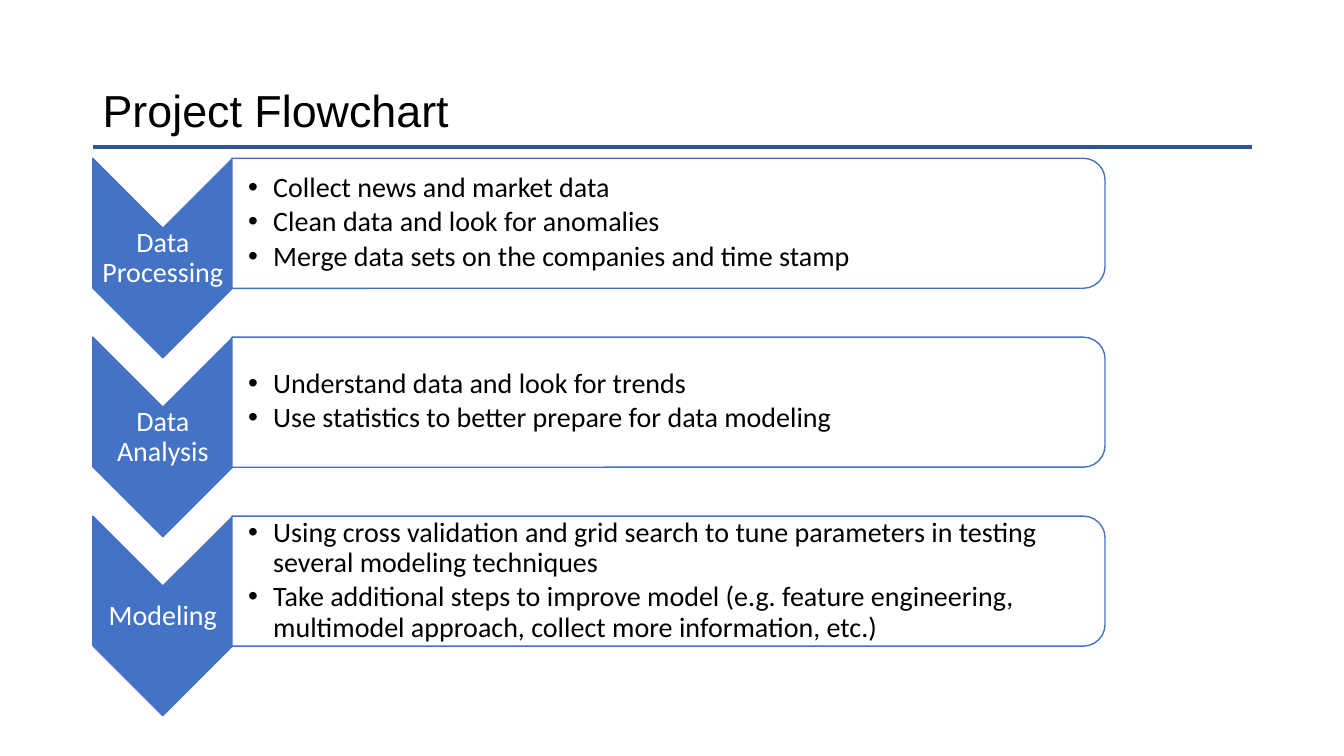
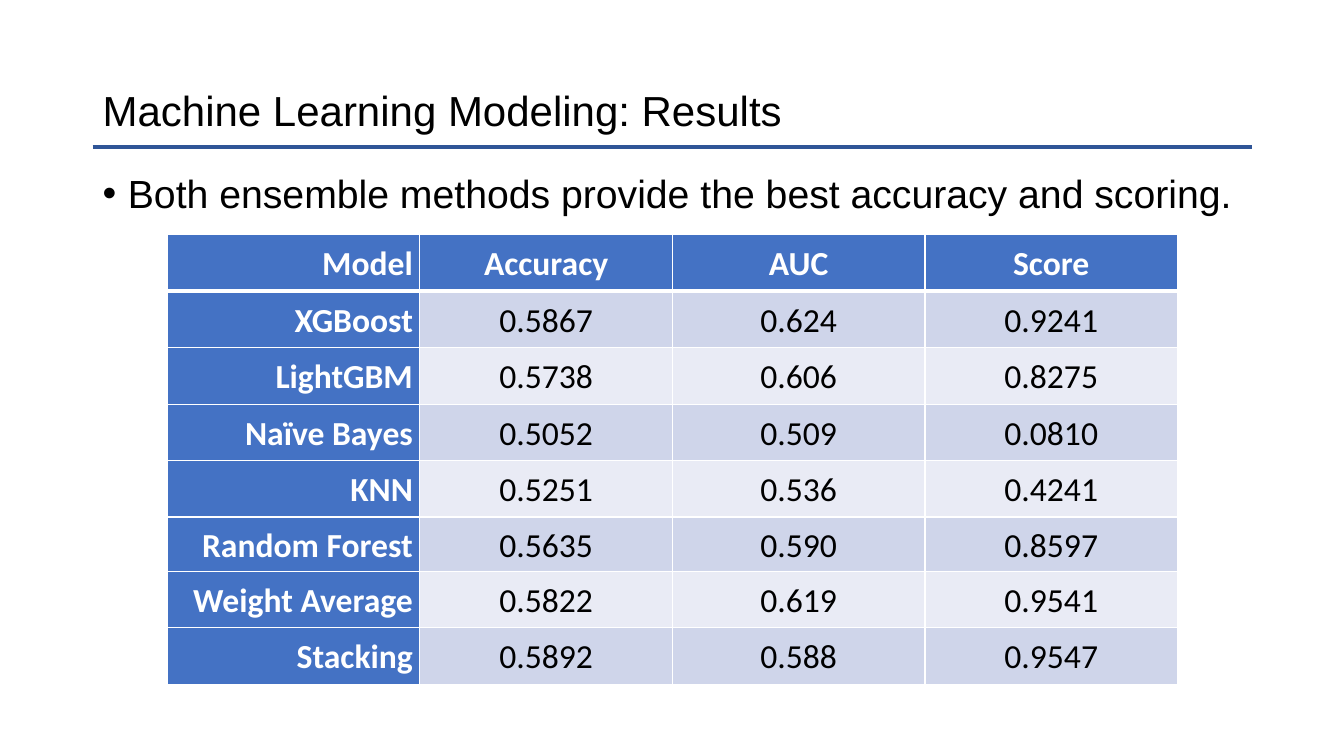
from dataclasses import dataclass

from lxml import etree
from pptx import Presentation
from pptx.dml.color import RGBColor
from pptx.enum.shapes import MSO_CONNECTOR, MSO_SHAPE
from pptx.enum.text import MSO_ANCHOR, PP_ALIGN
from pptx.oxml.ns import qn
from pptx.slide import Slide
from pptx.util import Inches, Pt

LEFT, CENTER, RIGHT = PP_ALIGN.LEFT, PP_ALIGN.CENTER, PP_ALIGN.RIGHT
TOP, MIDDLE = MSO_ANCHOR.TOP, MSO_ANCHOR.MIDDLE
CHEVRON, PANEL = MSO_SHAPE.CHEVRON, MSO_SHAPE.ROUND_2_SAME_RECTANGLE
STRAIGHT = MSO_CONNECTOR.STRAIGHT

COLORS = {
    "text": "000000",
    "white": "FFFFFF",
    "rule": "2F5597",
    "accent": "4472C4",
    "band_dark": "CFD5EA",
    "band_light": "E9EBF5",
}
HEADING_FONT, BODY_FONT = "Arial", "Calibri"
MARGIN = 0.92
CONTENT_WIDTH = 11.5
BULLET_INDENT = 0.25
STEP_TOP, STEP_PITCH = 1.57, 1.775


@dataclass(frozen=True)
class Frame:
    left: float
    top: float
    width: float
    height: float

    def lengths(self) -> list[int]:
        return [Inches(n) for n in (self.left, self.top, self.width, self.height)]

    def quarter_turned(self) -> "Frame":
        """Frame that covers this one once it is rotated by 90 degrees."""
        shift = (self.width - self.height) / 2
        return Frame(self.left + shift, self.top - shift, self.height, self.width)


@dataclass(frozen=True)
class TextStyle:
    size: float
    font: str = BODY_FONT
    color: str = "text"
    bold: bool = False
    align: PP_ALIGN = LEFT
    line_spacing: float = 0.9
    before: float = 0
    after: float = 0
    bullet: bool = False


@dataclass(frozen=True)
class Step:
    label: str
    points: list[str]


LABEL_STYLE = TextStyle(20, color="white", align=CENTER, after=7)
POINT_STYLE = TextStyle(20, after=3, bullet=True)
BODY_STYLE = TextStyle(28, HEADING_FONT, before=10, bullet=True)
HEADER_STYLE = TextStyle(24, color="white", bold=True, align=CENTER, line_spacing=1.07)
NAME_STYLE = TextStyle(24, color="white", bold=True, align=RIGHT, line_spacing=1.07)
VALUE_STYLE = TextStyle(24, align=CENTER, line_spacing=1.07)

STEPS = [
    Step("Data Processing", [
        "Collect news and market data",
        "Clean data and look for anomalies",
        "Merge data sets on the companies and time stamp",
    ]),
    Step("Data Analysis", [
        "Understand data and look for trends",
        "Use statistics to better prepare for data modeling",
    ]),
    Step("Modeling", [
        "Using cross validation and grid search to tune parameters in testing "
        "several modeling techniques",
        "Take additional steps to improve model (e.g. feature engineering, "
        "multimodel approach, collect more information, etc.)",
    ]),
]

RESULTS = [
    ("Model", "Accuracy", "AUC", "Score"),
    ("XGBoost", "0.5867", "0.624", "0.9241"),
    ("LightGBM", "0.5738", "0.606", "0.8275"),
    ("Naïve Bayes", "0.5052", "0.509", "0.0810"),
    ("KNN", "0.5251", "0.536", "0.4241"),
    ("Random Forest", "0.5635", "0.590", "0.8597"),
    ("Weight Average", "0.5822", "0.619", "0.9541"),
    ("Stacking", "0.5892", "0.588", "0.9547"),
]
ROW_HEIGHTS = [0.56] * 5 + [0.54] + [0.56] * 2


def rgb(name: str) -> RGBColor:
    return RGBColor.from_string(COLORS[name])


def write_paragraph(paragraph, text: str, style: TextStyle) -> None:
    paragraph.text = text
    paragraph.alignment = style.align
    paragraph.line_spacing = style.line_spacing
    paragraph.space_before = Pt(style.before)
    paragraph.space_after = Pt(style.after)
    font = paragraph.font
    font.name, font.size, font.bold = style.font, Pt(style.size), style.bold
    font.color.rgb = rgb(style.color)
    if style.bullet:
        properties = paragraph._p.get_or_add_pPr()
        properties.set("marL", str(Inches(BULLET_INDENT)))
        properties.set("indent", str(-Inches(BULLET_INDENT)))
        bullet_font = etree.Element(qn("a:buFont"), typeface="Arial")
        bullet = etree.Element(qn("a:buChar"), char="•")
        spacing_end = properties.find(qn("a:spcAft"))
        spacing_end.addnext(bullet_font)
        bullet_font.addnext(bullet)


def add_text(page: Slide, frame: Frame, lines: list[str], style: TextStyle,
             anchor: MSO_ANCHOR = MIDDLE,
             insets: tuple[float, float, float, float] = (0.1, 0.05, 0.1, 0.05)) -> None:
    text_frame = page.shapes.add_textbox(*frame.lengths()).text_frame
    text_frame.word_wrap = True
    text_frame.vertical_anchor = anchor
    (text_frame.margin_left, text_frame.margin_top,
     text_frame.margin_right, text_frame.margin_bottom) = map(Inches, insets)
    for index, line in enumerate(lines):
        paragraph = text_frame.add_paragraph() if index else text_frame.paragraphs[0]
        write_paragraph(paragraph, line, style)


def add_turned_shape(page: Slide, kind: MSO_SHAPE, frame: Frame, fill: str) -> None:
    shape = page.shapes.add_shape(kind, *frame.quarter_turned().lengths())
    shape.rotation = 90
    shape.shadow.inherit = False
    shape.fill.solid()
    shape.fill.fore_color.rgb = rgb(fill)
    shape.line.color.rgb = rgb("accent")
    shape.line.width = Pt(1)


def add_page(deck, title: str, title_size: float) -> Slide:
    """Blank page with the shared title and the rule below it."""
    page = deck.slides.add_slide(deck.slide_layouts[6])
    add_text(page, Frame(MARGIN, 0.4, CONTENT_WIDTH, 1.45), [title],
             TextStyle(title_size, HEADING_FONT))
    rule_y = Inches(1.46)
    rule = page.shapes.add_connector(
        STRAIGHT, Inches(MARGIN), rule_y, Inches(MARGIN + CONTENT_WIDTH), rule_y)
    rule.line.color.rgb = rgb("rule")
    rule.line.width = Pt(3)
    etree.SubElement(rule._element.spPr, qn("a:effectLst"))
    return page


def add_step(page: Slide, step: Step, top: float) -> None:
    add_turned_shape(page, CHEVRON, Frame(MARGIN, top, 1.39, 1.98), "accent")
    add_text(page, Frame(MARGIN, top + 0.7, 1.39, 0.59), [step.label],
             LABEL_STYLE, insets=(0.01,) * 4)
    add_turned_shape(page, PANEL, Frame(2.3, top, 8.66, 1.29), "white")
    add_text(page, Frame(2.3, top + 0.06, 8.59, 1.16), step.points,
             POINT_STYLE, insets=(0.16, 0.01, 0.01, 0.01))


def set_borders(cell, bottom_width: float) -> None:
    properties = cell._tc.get_or_add_tcPr()
    widths = {"a:lnL": 1, "a:lnR": 1, "a:lnT": 1, "a:lnB": bottom_width}
    for index, (side, width) in enumerate(widths.items()):
        line = etree.Element(qn(side), w=str(Pt(width)))
        fill = etree.SubElement(line, qn("a:solidFill"))
        etree.SubElement(fill, qn("a:srgbClr"), val=COLORS["white"])
        properties.insert(index, line)


def cell_look(row: int, column: int) -> tuple[str, TextStyle]:
    if column == 0:
        return "accent", NAME_STYLE
    if row == 0:
        return "accent", HEADER_STYLE
    return ("band_dark" if row % 2 else "band_light"), VALUE_STYLE


def add_results_table(page: Slide, frame: Frame) -> None:
    table = page.shapes.add_table(
        len(RESULTS), len(RESULTS[0]), *frame.lengths()).table
    for column in table.columns:
        column.width = Inches(frame.width / len(RESULTS[0]))
    for row, height in zip(table.rows, ROW_HEIGHTS):
        row.height = Inches(height)
    for row_index, values in enumerate(RESULTS):
        for column_index, value in enumerate(values):
            cell = table.cell(row_index, column_index)
            fill, style = cell_look(row_index, column_index)
            cell.fill.solid()
            cell.fill.fore_color.rgb = rgb(fill)
            cell.vertical_anchor = MIDDLE
            cell.margin_left = cell.margin_right = Inches(0.07)
            cell.margin_top = cell.margin_bottom = Inches(0)
            write_paragraph(cell.text_frame.paragraphs[0], value, style)
            set_borders(cell, bottom_width=1 if row_index else 3)
            if row_index == 1:
                cell._tc.tcPr.find(qn("a:lnT")).set("w", str(Pt(3)))


def main() -> None:
    deck = Presentation()
    deck.slide_width, deck.slide_height = Inches(13.33), Inches(7.5)

    # Flowchart
    page = add_page(deck, "Project Flowchart", 32)
    for index, step in enumerate(STEPS):
        add_step(page, step, STEP_TOP + index * STEP_PITCH)

    # Model results
    page = add_page(deck, "Machine Learning Modeling: Results", 30)
    add_text(page, Frame(MARGIN, 1.68, 11.69, 5.56),
             ["Both ensemble methods provide the best accuracy and scoring."],
             BODY_STYLE, anchor=TOP)
    add_results_table(page, Frame(1.66, 2.33, 10.02, sum(ROW_HEIGHTS)))

    deck.save("out.pptx")


if __name__ == "__main__":
    main()
